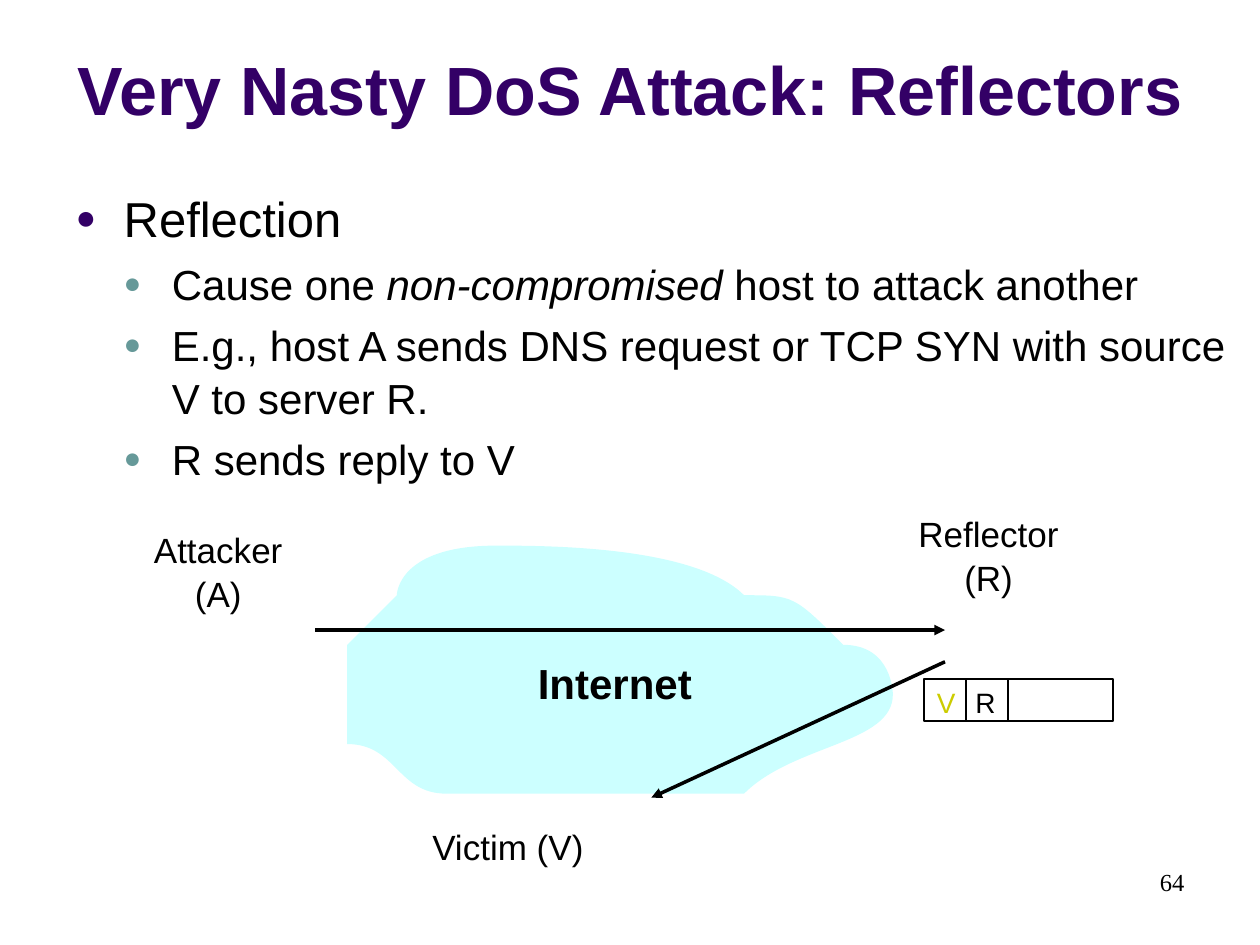
"""Build the slide on reflector denial-of-service attacks."""
from lxml.etree import SubElement
from pptx import Presentation
from pptx.dml.color import RGBColor
from pptx.enum.shapes import MSO_CONNECTOR, MSO_SHAPE
from pptx.enum.text import MSO_ANCHOR, MSO_AUTO_SIZE, PP_ALIGN
from pptx.oxml.ns import qn
from pptx.oxml.xmlchemy import OxmlElement
from pptx.util import Cm, Pt

BLACK = RGBColor(0x00, 0x00, 0x00)
WHITE = RGBColor(0xFF, 0xFF, 0xFF)
PURPLE = RGBColor(0x33, 0x00, 0x66)
TEAL = RGBColor(0x66, 0x99, 0x99)
CYAN = RGBColor(0xCC, 0xFF, 0xFF)
YELLOW = RGBColor(0xCC, 0xCC, 0x00)

prs = Presentation()
prs.slide_width, prs.slide_height = Cm(25.4), Cm(19.05)
s = prs.slides.add_slide(prs.slide_layouts[1])


def add_label(text, x, y, w, h, size, color=BLACK, bold=False, wrap=False,
              align=PP_ALIGN.CENTER, font="Arial"):
    sp = s.shapes.add_textbox(Cm(x), Cm(y), Cm(w), Cm(h))
    tf = sp.text_frame
    tf.word_wrap = wrap
    tf.text = text
    p = tf.paragraphs[0]
    p.alignment = align
    p.line_spacing = 1.05 if wrap else 1.0
    f = p.runs[0].font
    f.name, f.size, f.bold = font, Pt(size), bold
    f.color.rgb = color
    return sp


def add_line(x1, y1, x2, y2, width, arrow=False):
    line = s.shapes.add_connector(MSO_CONNECTOR.STRAIGHT, Cm(x1), Cm(y1), Cm(x2), Cm(y2))
    line.line.color.rgb = BLACK
    line.line.width = Pt(width)
    if arrow:
        SubElement(line.line._get_or_add_ln(), qn("a:tailEnd"), type="triangle")
    SubElement(line._element.spPr, qn("a:effectLst"))


title = s.shapes.title
title.left, title.top, title.width, title.height = Cm(0), Cm(0.33), Cm(25.4), Cm(2.41)
tf = title.text_frame
tf.text = "Very Nasty DoS Attack: Reflectors"
tf.auto_size = MSO_AUTO_SIZE.NONE
tf.vertical_anchor = MSO_ANCHOR.BOTTOM
p = tf.paragraphs[0]
p.alignment = PP_ALIGN.CENTER
f = p.runs[0].font
f.name, f.size, f.bold = "Arial", Pt(39), True
f.color.rgb = PURPLE

body = s.placeholders[1]
body.left, body.top, body.width, body.height = Cm(1.27), Cm(3.61), Cm(23.7), Cm(13.44)
tf = body.text_frame
tf.auto_size = MSO_AUTO_SIZE.NONE
bullets = [
    (0, ["Reflection"]),
    (1, ["Cause one ", "non-compromised", " host to attack another"]),
    (1, ["E.g., host A sends DNS request or TCP SYN with source V to server R."]),
    (1, ["R sends reply to V"]),
]
for i, (level, parts) in enumerate(bullets):
    p = tf.paragraphs[0] if i == 0 else tf.add_paragraph()
    size = 24 if level else 28
    p.level = level
    p.line_spacing = 1.05
    p.space_before = Pt(0.2 * size if i else 0)
    pPr = p._p.get_or_add_pPr()
    pPr.set("marL", str(Cm(0.97 * (level + 1))))
    pPr.set("indent", str(-Cm(0.97)))
    color = SubElement(pPr, qn("a:buClr"))
    SubElement(color, qn("a:srgbClr"), val=str(TEAL if level else PURPLE))
    SubElement(pPr, qn("a:buSzPct"), val="70000")
    SubElement(pPr, qn("a:buFont"), typeface="Arial")
    SubElement(pPr, qn("a:buChar"), char="●")
    for part in parts:
        r = p.add_run()
        r.text = part
        r.font.name, r.font.size = "Arial", Pt(size)
        r.font.italic = part == "non-compromised"
        r.font.color.rgb = BLACK

add_label("64", 18.21, 17.35, 5.92, 1.27, 14, align=PP_ALIGN.RIGHT, font="Times New Roman")

reflector = add_label("Reflector (R)", 17.68, 10.16, 4.5, 1.09, 20, wrap=True)
reflector.fill.solid()
reflector.fill.fore_color.rgb = WHITE

cloud_points = [
    (6.81, 12.93), (7.44, 12.62), (7.9, 12.29),
    (8.36, 11.94), (8.36, 11.4), (9.5, 11.28),
    (10.67, 11.18), (13.56, 11.3), (14.81, 11.56),
    (16.05, 11.81), (16.41, 12.4), (16.97, 12.85),
    (17.53, 13.31), (18.42, 13.84), (18.16, 14.33),
    (17.88, 14.81), (16.41, 15.47), (15.37, 15.75),
    (14.33, 16.03), (12.93, 15.98), (11.91, 16),
    (10.87, 16.03), (9.96, 16.08), (9.17, 15.9),
    (8.41, 15.72), (7.7, 15.32), (7.29, 14.88),
    (6.91, 14.48), (6.88, 13.67), (6.78, 13.34),
]
builder = s.shapes.build_freeform(6.78, 13.34, scale=Cm(1))
builder.add_line_segments(cloud_points, close=True)
cloud = builder.convert_to_shape()
cloud.shadow.inherit = False
cloud.fill.solid()
cloud.fill.fore_color.rgb = CYAN
cloud.line.fill.background()
segments = list(cloud._element.iter(qn("a:lnTo")))
for i in range(0, len(cloud_points), 3):
    curve = OxmlElement("a:cubicBezTo")
    segments[i].addprevious(curve)
    for segment in segments[i:i + 3]:
        curve.append(segment[0])
        segment.getparent().remove(segment)

add_label("Internet", 10.59, 13.13, 3.61, 1.27, 24, bold=True)
add_label("Attacker (A)", 2.29, 10.49, 4.22, 1.09, 20, wrap=True)
add_line(6.35, 12.7, 19.05, 12.7, 2, arrow=True)
add_line(19.05, 13.34, 13.13, 16.08, 2, arrow=True)

packet = s.shapes.add_shape(MSO_SHAPE.RECTANGLE, Cm(18.63), Cm(13.69), Cm(3.81), Cm(0.85))
packet.shadow.inherit = False
packet.fill.solid()
packet.fill.fore_color.rgb = WHITE
packet.line.color.rgb = BLACK
packet.line.width = Pt(1)
add_label("V", 18.63, 13.69, 0.89, 0.91, 16, YELLOW)
add_label("R", 19.41, 13.69, 0.91, 0.91, 16)
for x in (19.48, 20.32):
    add_line(x, 13.69, x, 14.54, 1)

add_label("Victim (V)", 8.46, 16.51, 3.56, 1.09, 20)

prs.save("out.pptx")
